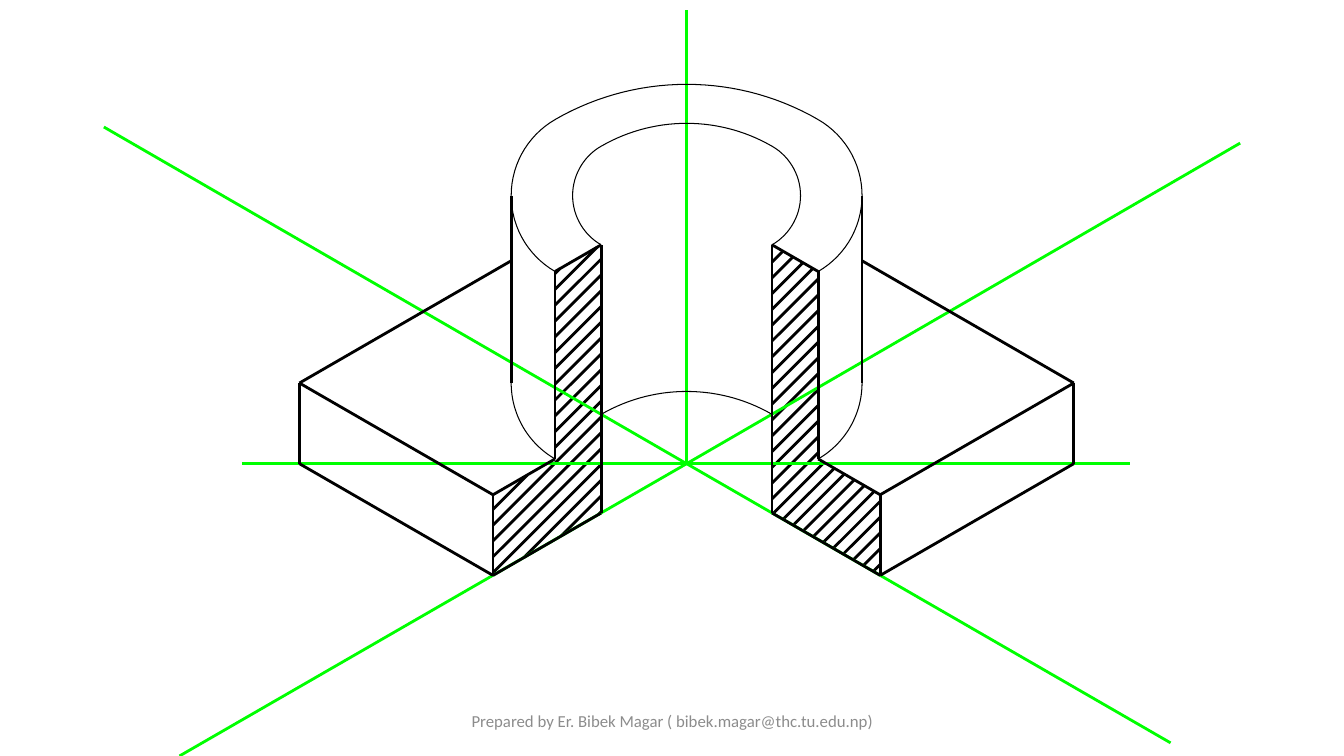
"""Isometric half section of a flanged sleeve with its centre lines."""
from dataclasses import dataclass
from itertools import pairwise
from math import cos, radians, sin, sqrt, tan

from lxml import etree
from pptx import Presentation
from pptx import util as u
from pptx.dml.color import RGBColor
from pptx.enum import shapes, text
from pptx.oxml.ns import qn


@dataclass(frozen=True)
class Theme:
    """Colours, type and line width of the slide."""
    outline: RGBColor = RGBColor(0, 0, 0)
    axis: RGBColor = RGBColor(0, 255, 0)
    footer: RGBColor = RGBColor(0x8C, 0x8C, 0x8C)
    font: str = "Calibri"
    footer_size: int = u.Pt(12)
    hairline: int = u.Pt(0)


THEME = Theme()
SLIDE_WIDTH, SLIDE_HEIGHT = u.Inches(13.33), u.Inches(7.5)
CELL = SLIDE_HEIGHT / 75
ORIGIN = (68.1, 46)
BORE, SLEEVE = 11.3, 17.4
PLATE, PLATE_HEIGHT, TOTAL_HEIGHT = 19.2, 8, 26.6
HATCH_START, HATCH_PITCH, HATCH_COUNT = 82.2, 4.7 / 3, 40
SIDES = (-1, 1)
AXIS_ENDS = ((54.9, -31.8), (0, -45), (-57.8, -33.4), (48, 27.7), (-50.3, 29))


def cells(*values):
    """Convert grid cells to slide units."""
    return [u.Emu(round(value * CELL)) for value in values]


def point(across, down):
    """Place an offset from the origin on the grid."""
    return ORIGIN[0] + across, ORIGIN[1] + down


def cut_point(side, across, height):
    """Locate a point on the cutting plane of one side."""
    return point(side * across, across * tan(radians(30)) - height)


def style_line(line, color):
    """Give a line its colour and hairline width."""
    line.color.rgb = color
    line.width = THEME.hairline


def add_edge(drawing, start, end, color=THEME.outline):
    """Draw a straight hairline."""
    edge = drawing.shapes.add_connector(
        shapes.MSO_CONNECTOR.STRAIGHT, *cells(*start, *end))
    style_line(edge.line, color)
    etree.SubElement(edge._element.spPr, qn("a:effectLst"))


def add_arc(drawing, centre, radius, first, last, side=1, steps=30):
    """Draw an open circular arc, mirrored to the left when side is -1."""
    angles = [radians(first + (last - first) * i / steps) for i in range(steps + 1)]
    start, *rest = [
        cells(*point(side * (centre[0] + radius * cos(a)), centre[1] - radius * sin(a)))
        for a in angles]
    builder = drawing.shapes.build_freeform(*start)
    builder.add_line_segments(rest, close=False)
    arc = builder.convert_to_shape()
    arc.shadow.inherit = False
    arc.fill.background()
    style_line(arc.line, THEME.outline)


def add_back_arc(drawing, half_width, height):
    """Draw the wide rear arc of a four-centre ellipse."""
    add_arc(drawing, (0, sqrt(3) * half_width / 2 - height), 1.5 * half_width, 60, 120)


def add_end_arc(drawing, half_width, height, side, first):
    """Draw the tight side arc of a four-centre ellipse."""
    radius = half_width / 2
    add_arc(drawing, (radius, -height), radius, first, -60, side)


def section_corners(side):
    """List the corners of one cut face."""
    inner, outer = 0.75 * BORE, 0.75 * SLEEVE
    profile = ((inner, TOTAL_HEIGHT), (outer, TOTAL_HEIGHT), (outer, PLATE_HEIGHT),
               (PLATE, PLATE_HEIGHT), (PLATE, 0), (inner, 0))
    return [cut_point(side, *corner) for corner in profile]


def section_edges(corners):
    """Pair neighbouring corners around a face."""
    return list(pairwise([*corners, corners[0]]))


def hatch_face(drawing, corners):
    """Fill a face with rising 45 degree hatch lines."""
    for i in range(HATCH_COUNT):
        level = HATCH_START + i * HATCH_PITCH
        crossings = []
        for start, end in section_edges(corners):
            before, after = sum(start) - level, sum(end) - level
            if (before < 0) != (after < 0):
                share = before / (before - after)
                x = start[0] + share * (end[0] - start[0])
                crossings.append((x, level - x))
        crossings.sort()
        for left, right in zip(crossings[::2], crossings[1::2]):
            add_edge(drawing, left, right)


def add_axes(drawing):
    """Draw the green centre lines."""
    add_edge(drawing, point(-44.1, 0), point(44, 0), THEME.axis)
    for end in AXIS_ENDS:
        add_edge(drawing, ORIGIN, point(*end), THEME.axis)


def add_half(drawing, side):
    """Draw the visible outline of one half of the part."""
    for half_width in (SLEEVE, BORE):
        add_end_arc(drawing, half_width, TOTAL_HEIGHT, side, 60)
    add_end_arc(drawing, SLEEVE, PLATE_HEIGHT, side, 0)
    for start, end in section_edges(section_corners(side)):
        add_edge(drawing, start, end)
    add_edge(drawing, point(side * SLEEVE, -TOTAL_HEIGHT),
             point(side * SLEEVE, -PLATE_HEIGHT))
    far_top, far_bottom = (point(side * 2 * PLATE, -h) for h in (PLATE_HEIGHT, 0))
    hidden_from = (2 * PLATE - SLEEVE) * tan(radians(30)) + PLATE_HEIGHT
    add_edge(drawing, cut_point(side, PLATE, PLATE_HEIGHT), far_top)
    add_edge(drawing, far_top, point(side * SLEEVE, -hidden_from))
    add_edge(drawing, cut_point(side, PLATE, 0), far_bottom)
    add_edge(drawing, far_bottom, far_top)


def add_footer(slide, wording):
    """Write the centred footer."""
    frame = slide.shapes.add_textbox(*cells(44.2, 69.5, 45, 4)).text_frame
    frame.word_wrap = True
    frame.vertical_anchor = text.MSO_ANCHOR.MIDDLE
    paragraph = frame.paragraphs[0]
    paragraph.alignment = text.PP_ALIGN.CENTER
    run = paragraph.add_run()
    run.text = wording
    run.font.name = THEME.font
    run.font.size = THEME.footer_size
    run.font.color.rgb = THEME.footer


def main():
    """Build and save the slide."""
    deck = Presentation()
    deck.slide_width, deck.slide_height = SLIDE_WIDTH, SLIDE_HEIGHT
    slide = deck.slides.add_slide(deck.slide_layouts[6])
    add_footer(slide, "Prepared by Er. Bibek Magar ( bibek.magar@thc.tu.edu.np)")
    drawing = slide.shapes.add_group_shape()
    for side in SIDES:
        hatch_face(drawing, section_corners(side))
    add_axes(drawing)
    for half_width, height in ((SLEEVE, TOTAL_HEIGHT), (BORE, TOTAL_HEIGHT), (BORE, 0)):
        add_back_arc(drawing, half_width, height)
    for side in SIDES:
        add_half(drawing, side)
    deck.save("out.pptx")


if __name__ == "__main__":
    main()
